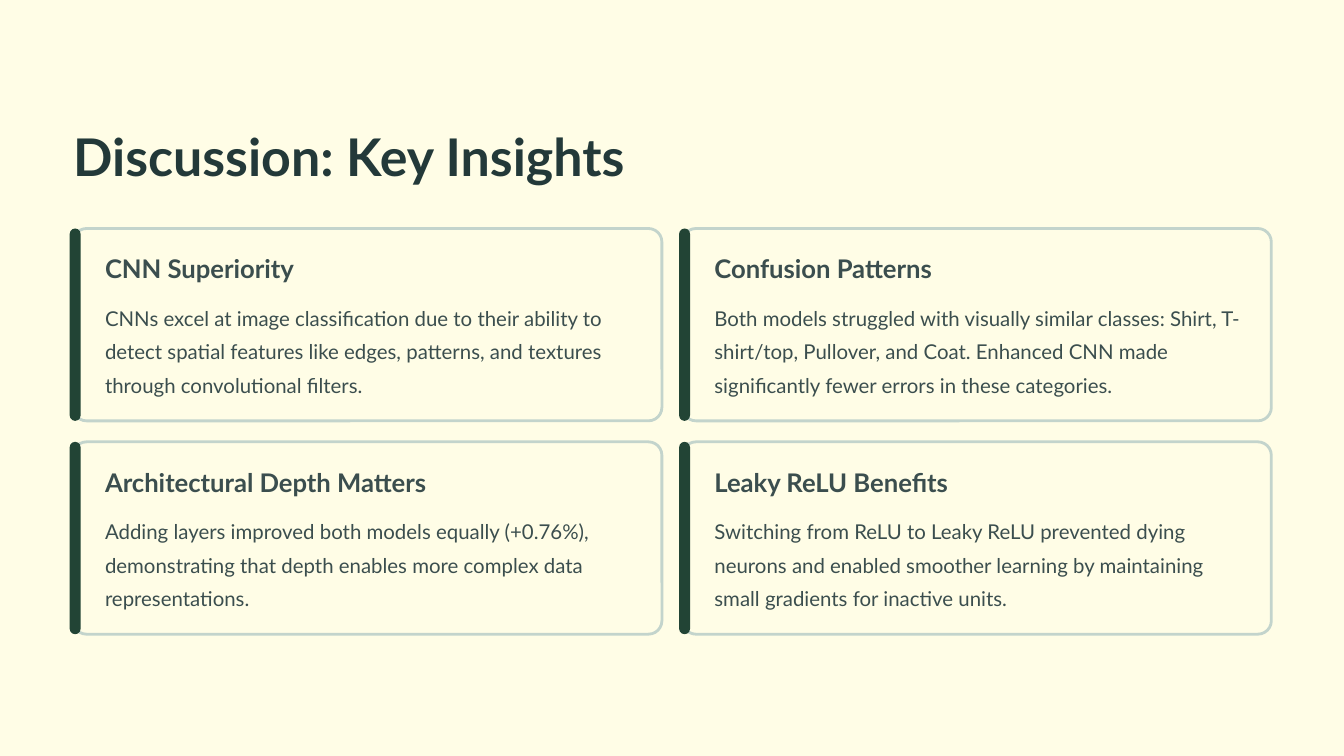
"""Build the key insights slide: a title above a grid of four cards."""
from pptx import Presentation
from pptx.dml.color import RGBColor
from pptx.enum.shapes import MSO_SHAPE
from pptx.enum.text import MSO_ANCHOR, MSO_AUTO_SIZE, PP_ALIGN
from pptx.util import Inches, Pt

ROUND = MSO_SHAPE.ROUNDED_RECTANGLE
TOP = MSO_ANCHOR.TOP
FIXED = MSO_AUTO_SIZE.NONE
LEFT = PP_ALIGN.LEFT

CREAM = RGBColor(0xFF, 0xFD, 0xE6)
INK = RGBColor(0x23, 0x39, 0x39)
SLATE = RGBColor(0x3B, 0x4E, 0x4E)
SAGE = RGBColor(0xC3, 0xD4, 0xCC)
GREEN = RGBColor(0x22, 0x44, 0x35)
FONT = "Lato"

COLS = 2
GRID_X, GRID_Y = 0.87, 2.72
STEP_X, STEP_Y = 7.255, 2.54
CARD_W, CARD_H = 7.01, 2.29

CARDS = [
    ("CNN Superiority",
     "CNNs excel at image classification due to their ability to detect "
     "spatial features like edges, patterns, and textures through "
     "convolutional filters."),
    ("Confusion Patterns",
     "Both models struggled with visually similar classes: Shirt, "
     "T-shirt/top, Pullover, and Coat. Enhanced CNN made significantly "
     "fewer errors in these categories."),
    ("Architectural Depth Matters",
     "Adding layers improved both models equally (+0.76%), demonstrating "
     "that depth enables more complex data representations."),
    ("Leaky ReLU Benefits",
     "Switching from ReLU to Leaky ReLU prevented dying neurons and enabled "
     "smoother learning by maintaining small gradients for inactive units."),
]


def set_text(shape, text, size, color, pitch, bold=False):
    frame = shape.text_frame
    frame.text = text
    frame.word_wrap = True
    frame.auto_size = FIXED
    frame.vertical_anchor = TOP
    frame.margin_left = frame.margin_right = 0
    frame.margin_top = frame.margin_bottom = 0
    para = frame.paragraphs[0]
    para.alignment = LEFT
    para.line_spacing = Pt(pitch)
    para.space_before = Pt(0)
    font = para.runs[0].font
    font.name, font.size, font.bold = FONT, Pt(size), bold
    font.color.rgb = color


def add_title(slide, text):
    title = slide.shapes.title
    title.left, title.top = Inches(0.87), Inches(1.45)
    title.width, title.height = Inches(8.01), Inches(0.78)
    set_text(title, text, 44.5, INK, 55.5, True)


def add_label(slide, x, y, w, h, *style):
    box = slide.shapes.add_textbox(Inches(x), Inches(y), Inches(w), Inches(h))
    set_text(box, *style)


def add_panel(slide, x, y, w, h, curve, fill):
    panel = slide.shapes.add_shape(
        ROUND, Inches(x), Inches(y), Inches(w), Inches(h))
    panel.shadow.inherit = False
    panel.adjustments[0] = curve
    panel.fill.solid()
    panel.fill.fore_color.rgb = fill
    panel.line.fill.background()
    return panel


def add_card(slide, x, y, head, body):
    panel = add_panel(slide, x, y, CARD_W, CARD_H, 0.07, CREAM)
    panel.line.color.rgb = SAGE
    panel.line.width = Pt(2.4)
    add_panel(slide, x - 0.04, y, 0.13, CARD_H, 0.5, GREEN)
    add_label(slide, x + 0.38, y + 0.28, 6.35, 0.39,
              head, 22, SLATE, 27.5, True)
    add_label(slide, x + 0.38, y + 0.82, 6.35, 1.19,
              body, 17.5, SLATE, 28.5)


def main():
    deck = Presentation()
    deck.slide_width, deck.slide_height = Inches(16), Inches(9)
    slide = deck.slides.add_slide(deck.slide_layouts[5])
    back = slide.background.fill
    back.solid()
    back.fore_color.rgb = CREAM
    add_title(slide, "Discussion: Key Insights")
    for i, (head, body) in enumerate(CARDS):
        row, col = divmod(i, COLS)
        add_card(slide, GRID_X + col * STEP_X, GRID_Y + row * STEP_Y,
                 head, body)
    deck.save("out.pptx")


if __name__ == "__main__":
    main()
